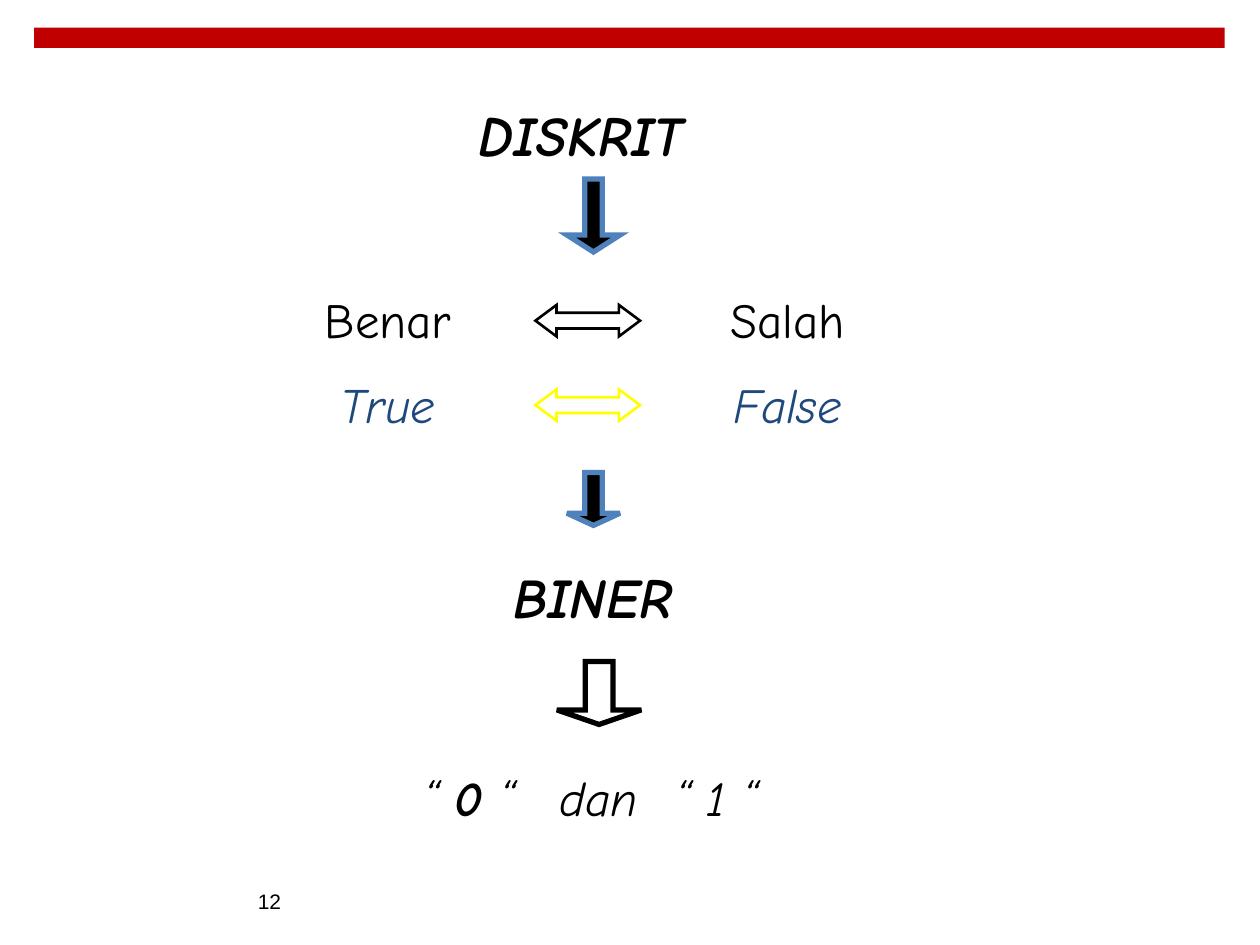
from lxml.etree import SubElement
from pptx import Presentation
from pptx.dml.color import RGBColor
from pptx.enum.shapes import MSO_SHAPE as Shape
from pptx.enum.text import MSO_ANCHOR as Anchor, PP_ALIGN as Align
from pptx.oxml.ns import qn
from pptx.util import Inches, Pt

BLACK, WHITE, RED = "000000", "FFFFFF", "C00000"
BLUE, NAVY, YELLOW = "4F81BD", "1F497D", "FFFF00"
ROW_TOP, ROW_STEP = 2.25, 0.67
LEFT_COLUMN, RIGHT_COLUMN = 2.33, 5.5


def color(value):
    return RGBColor.from_string(value)


def place(item, left, top, width, height):
    item.left, item.top = Inches(left), Inches(top)
    item.width, item.height = Inches(width), Inches(height)


def write(box, text, size=28, font="Comic Neue", fill=BLACK, bold=False,
          italic=False, align=Align.CENTER, inset=0.1, tabs=()):
    """Fill a box with one paragraph; text is a string or (string, bold) pairs."""
    frame = box.text_frame
    frame.word_wrap = True
    frame.vertical_anchor = Anchor.MIDDLE
    frame.margin_left = Inches(inset)
    frame.margin_right = Inches(0.1)
    frame.margin_top = frame.margin_bottom = Inches(0.05)
    para = frame.paragraphs[0]
    para.alignment = align
    if tabs:
        stops = SubElement(para._p.get_or_add_pPr(), qn("a:tabLst"))
        for stop in tabs:
            SubElement(stops, qn("a:tab"), pos=str(Inches(stop)), algn="l")
    for words, heavy in [(text, bold)] if isinstance(text, str) else text:
        span = para.add_run()
        span.text = words
        span.font.name, span.font.size = font, Pt(size)
        span.font.bold, span.font.italic = heavy, italic
        span.font.color.rgb = color(fill)


def add_text(page, area, text, **style):
    box = page.shapes.add_textbox(0, 0, 0, 0)
    place(box, *area)
    write(box, text, **style)


def add_figure(page, kind, area, fill, line=None, weight=3, adjust=()):
    figure = page.shapes.add_shape(kind, 0, 0, 0, 0)
    place(figure, *area)
    figure.shadow.inherit = False
    figure.fill.solid()
    figure.fill.fore_color.rgb = color(fill)
    for index, value in enumerate(adjust):
        figure.adjustments[index] = value
    if line is None:
        figure.line.fill.background()
        return
    figure.line.color.rgb = color(line)
    figure.line.width = Pt(weight)
    outline = figure._element.spPr.find(qn("a:ln"))
    SubElement(outline, qn("a:miter"), lim="800000")


def add_opposites(page, row, left_word, right_word, arrow_line, **style):
    top = ROW_TOP + row * ROW_STEP
    for left, word in ((LEFT_COLUMN, left_word), (RIGHT_COLUMN, right_word)):
        add_text(page, (left, top, 1.5, 0.57), word, **style)
    add_figure(page, Shape.LEFT_RIGHT_ARROW, (4.25, top + 0.17, 0.83, 0.25),
               WHITE, arrow_line, 1.5, (0.5, 0.67))


def main():
    deck = Presentation()
    deck.slide_width, deck.slide_height = Inches(10), Inches(7.5)
    page = deck.slides.add_slide(deck.slide_layouts[5])

    add_figure(page, Shape.RECTANGLE, (0.27, 0.22, 9.45, 0.16), RED)
    title = page.shapes.title
    place(title, 3.42, 0.75, 2.38, 0.63)
    write(title, "DISKRIT", size=32, bold=True, italic=True)

    add_opposites(page, 0, "Benar", "Salah", BLACK)
    add_opposites(page, 1, "True", "False", YELLOW, fill=NAVY, italic=True)

    for area, fill, line, head in (
        ((4.5, 1.42, 0.42, 0.58), BLACK, BLUE, 0.32),
        ((4.5, 3.75, 0.42, 0.42), BLACK, BLUE, 0.23),
        ((4.42, 5.25, 0.67, 0.5), WHITE, BLACK, 0.23),
    ):
        add_figure(page, Shape.DOWN_ARROW, area, fill, line, adjust=(0.33, head))

    add_text(page, (3.33, 4.42, 2.75, 0.63), "BINER", size=32, bold=True, italic=True)
    add_text(page, (3, 6.04, 3.33, 0.57),
             [("“ ", False), ("0", True), (" “\tdan\t“ 1 “", False)],
             italic=True, align=Align.LEFT, inset=0.36, tabs=(1.08, 2))
    add_text(page, (0, 6.95, 2.33, 0.4), "12", size=12, font="Arial", align=Align.RIGHT)

    deck.save("out.pptx")


if __name__ == "__main__":
    main()
